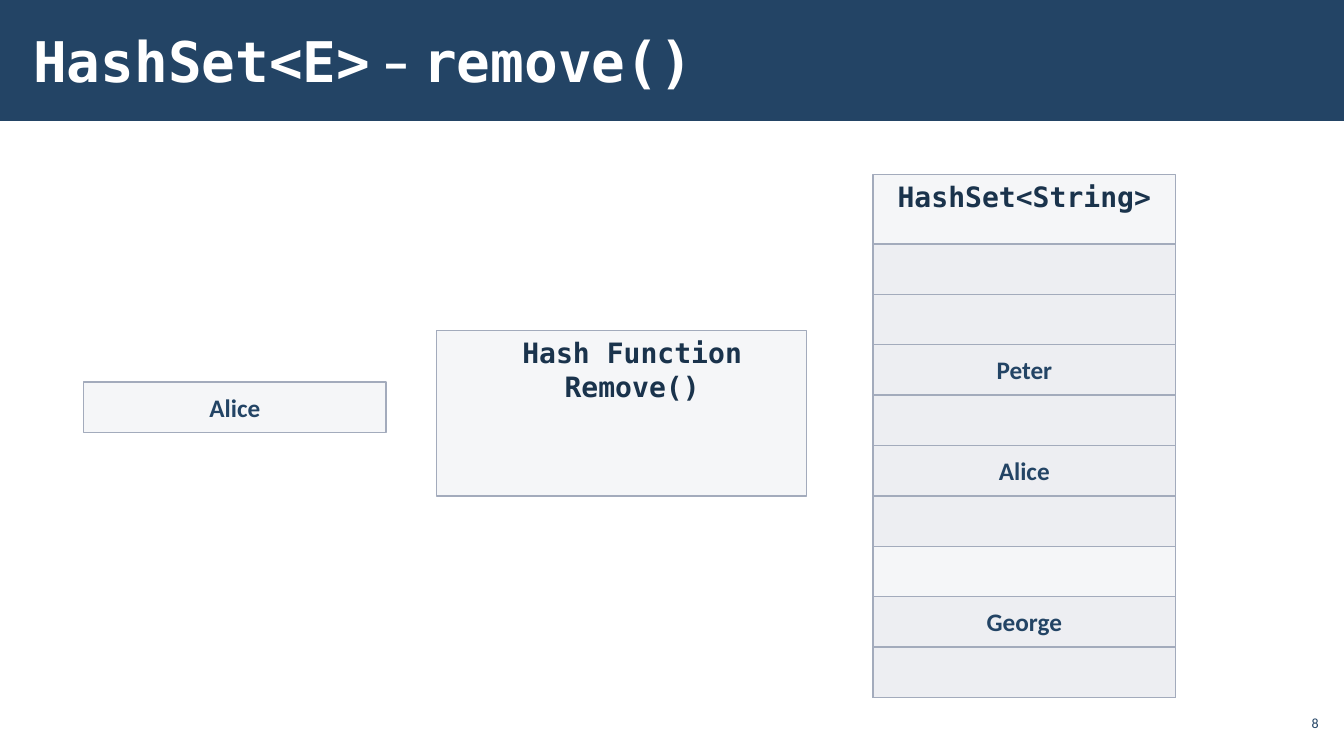
from lxml import etree
from pptx import Presentation
from pptx.dml.color import RGBColor
from pptx.enum.shapes import MSO_SHAPE
from pptx.enum.text import MSO_ANCHOR, MSO_AUTO_SIZE, PP_ALIGN
from pptx.oxml.ns import qn
from pptx.util import Inches, Pt

RECT = MSO_SHAPE.RECTANGLE
TOP, MIDDLE = MSO_ANCHOR.TOP, MSO_ANCHOR.MIDDLE
LEFT, CENTER, RIGHT = PP_ALIGN.LEFT, PP_ALIGN.CENTER, PP_ALIGN.RIGHT
SANS, MONO = "Calibri", "DejaVu Sans Mono"
NAVY, DARK, WHITE = "234465", "1A334C", "FFFFFF"
PANEL, BORDER = "C2C7D2", "A3ABBC"

# Grid: the set's column of equal slots
SLOT_W, SLOT_H = 3, 0.5
SET_X, SET_Y, SLOTS_Y = 8.66, 1.73, 2.42
SLOT_COUNT = 9
UNFILLED_SLOT = 6
NAMES = {2: "Peter", 4: "Alice", 7: "George"}


def write(shape, lines, size, color, bold=True, align=CENTER, anchor=MIDDLE, inset=(0.1, 0.05)):
    """Fill a shape with lines, each a list of (text, font) runs."""
    frame = shape.text_frame
    frame.word_wrap = True
    frame.auto_size = MSO_AUTO_SIZE.NONE
    frame.vertical_anchor = anchor
    frame.margin_left = frame.margin_right = Inches(inset[0])
    frame.margin_top = frame.margin_bottom = Inches(inset[1])
    for number, line in enumerate(lines):
        paragraph = frame.add_paragraph() if number else frame.paragraphs[0]
        paragraph.alignment = align
        for text, font in line:
            run = paragraph.add_run()
            run.text = text
            run.font.name = font
            run.font.size = Pt(size)
            run.font.bold = bold
            run.font.color.rgb = RGBColor.from_string(color)


def add_panel(x, y, width, height, name=None):
    """Add a translucent bordered box, with a name in it if given."""
    panel = slide.shapes.add_shape(RECT, Inches(x), Inches(y), Inches(width), Inches(height))
    panel.shadow.inherit = False
    panel.fill.solid()
    panel.fill.fore_color.rgb = RGBColor.from_string(PANEL)
    tint = panel.fill._xPr.find(qn("a:solidFill"))[0]
    etree.SubElement(tint, qn("a:alpha"), val="15000")
    panel.line.color.rgb = RGBColor.from_string(BORDER)
    panel.line.width = Pt(1)
    if name:
        write(panel, [[(name, SANS)]], 18, NAVY, inset=(0.2, 0.1))


deck = Presentation()
deck.slide_width, deck.slide_height = Inches(13.33), Inches(7.5)
slide = deck.slides.add_slide(deck.slide_layouts[5])

# Title band, behind the title
band = slide.shapes.add_shape(RECT, 0, 0, deck.slide_width, Inches(1.2))
band.shadow.inherit = False
band.fill.solid()
band.fill.fore_color.rgb = RGBColor.from_string(NAVY)
band.line.fill.background()
title = slide.shapes.title
title._element.addprevious(band._element)
title.left, title.top = Inches(0.21), Inches(0.11)
title.width, title.height = Inches(10.39), Inches(0.97)
write(title, [[("HashSet<E>", MONO), (" – ", SANS), ("remove()", MONO)]],
      40, WHITE, align=LEFT, inset=(0.12, 0.04))

# Hash set with its slots
add_panel(SET_X, SET_Y, SLOT_W, SLOTS_Y + SLOT_COUNT * SLOT_H - SET_Y)
for slot in range(SLOT_COUNT):
    if slot != UNFILLED_SLOT:
        add_panel(SET_X, SLOTS_Y + slot * SLOT_H, SLOT_W, SLOT_H, NAMES.get(slot))

# Hash function and the element to remove
add_panel(4.33, 3.28, 3.67, 1.64)
add_panel(0.83, 3.79, SLOT_W, SLOT_H, "Alice")

# Headings of the set and of the function
for x, y, height, heading in (
    (SET_X, SET_Y, 0.77, ["HashSet<String>"]),
    (4.77, 3.28, 1.45, ["Hash Function", "Remove()"]),
):
    label = slide.shapes.add_textbox(Inches(x), Inches(y), Inches(SLOT_W), Inches(height))
    write(label, [[(line, MONO)] for line in heading], 20, DARK, anchor=TOP)

# Slide number
page = slide.shapes.add_textbox(Inches(12.65), Inches(7), Inches(0.47), Inches(0.34))
write(page, [[("8", SANS)]], 10, NAVY, bold=False, align=RIGHT, inset=(0.04, 0.04))

deck.save("out.pptx")
